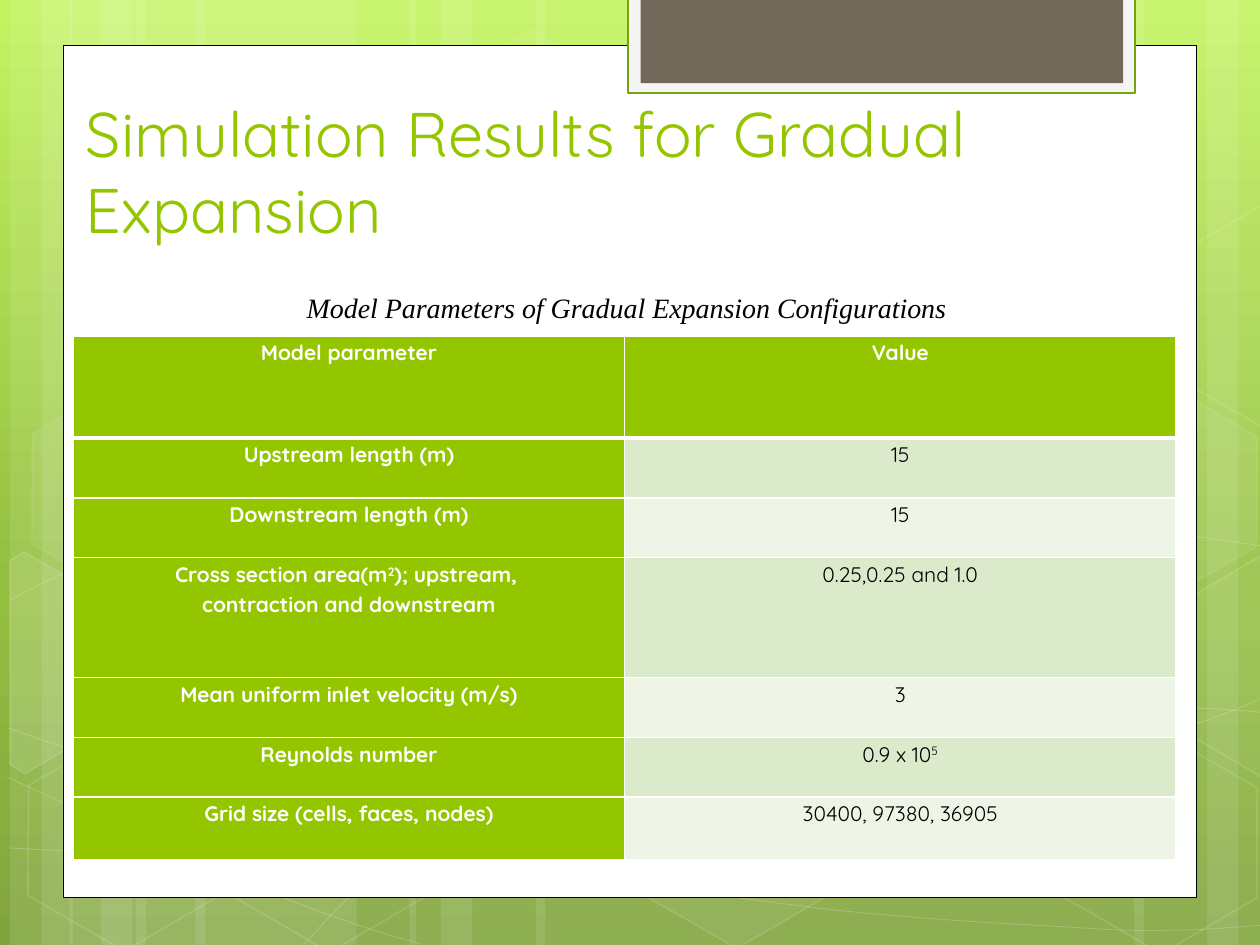
from copy import deepcopy
from lxml import etree
from pptx import Presentation
from pptx.dml.color import RGBColor
from pptx.enum.shapes import MSO_SHAPE
from pptx.enum.text import MSO_ANCHOR, PP_ALIGN
from pptx.oxml.ns import qn
from pptx.util import Inches, Pt

RECT, HEXAGON = MSO_SHAPE.RECTANGLE, MSO_SHAPE.HEXAGON
CENTER, BOTTOM, TOP = PP_ALIGN.CENTER, MSO_ANCHOR.BOTTOM, MSO_ANCHOR.TOP
WHITE, BLACK, GREEN = "FFFFFF", "000000", "94C600"
rgb = RGBColor.from_string

prs = Presentation()
prs.slide_width, prs.slide_height = Inches(10), Inches(7.5)
s = prs.slides.add_slide(prs.slide_layouts[6])
U = prs.slide_width / 100  # square grid of 100 columns by 75 rows


def paint(sp, fill=None, line=None, width=1, fill_alpha=100, line_alpha=100):
    """Set fill and outline; alphas are percentages of opacity."""
    sp.shadow.inherit = False
    for part, color in ((sp.fill, fill), (sp.line.fill, line)):
        if color:
            part.solid()
            part.fore_color.rgb = rgb(color)
        else:
            part.background()
    if line:
        sp.line.width = Pt(width)
    for path, alpha in (("a:solidFill", fill_alpha), ("a:ln/a:solidFill", line_alpha)):
        for clr in sp._element.spPr.xpath(f"{path}/a:srgbClr"):
            if alpha < 100:
                etree.SubElement(clr, qn("a:alpha")).set("val", str(alpha * 1000))


def add_outline(points, closed):
    """Draw a freeform through points given in grid units."""
    emu = [(x * U, y * U) for x, y in points]
    builder = s.shapes.build_freeform(*emu[0])
    builder.add_line_segments(emu[1:], close=closed)
    return builder.convert_to_shape()


# Background gradient
fill = s.background.fill
fill.gradient()
fill.gradient_angle = 270
stop_list = s.element.find(".//" + qn("a:gsLst"))
stop_list.append(deepcopy(stop_list[0]))
for stop, (pos, color) in zip(fill.gradient_stops,
                              ((0, "C3F35F"), (0.62, "93BF3F"), (1, "81A53E"))):
    stop.position = pos
    stop.color.rgb = rgb(color)

# Translucent vertical bands: each set is wide, narrow and medium
bands = []
for left, wide in ((0.8, 17.5), (5.5, 17.5), (32.5, 30.8)):
    bands += [(left + 10, wide), (left, 5), (left + 2.5, 8.3)]
mirror = 100.8
bands += [(mirror - 10 - 17.5, 17.5), (mirror - 5, 5), (mirror - 2.5 - 8.3, 8.3)]
for x, w in bands:
    sp = s.shapes.add_shape(RECT, int(x * U), 0, int(w * U), prs.slide_height)
    paint(sp, WHITE, fill_alpha=10)

# Thin curves: a start, then two control points and an end per Bezier segment
curves = [
    [(0.7, 67.3), (6.1, 67.6), (11.5, 67.9), (19, 67.8), (26.5, 67.7), (35.8, 67.5),
     (45.8, 66.5), (55.8, 65.5), (70, 63.6), (79.2, 61.7), (88.3, 59.8), (97.7, 56.8),
     (100.7, 55.1)],
    [(0.7, 47.7), (3.6, 46.1), (6.5, 44.6), (12.1, 43.1), (17.8, 41.6), (25.9, 39.4),
     (34.7, 38.7), (43.6, 38), (54.4, 37.9), (65.4, 38.7), (76.4, 39.5), (94.7, 42.6),
     (100.7, 43.4)],
    [(0.6, 61.7), (12.7, 67.2), (24.7, 72.7), (33.4, 74.9)],
    [(0.7, 57.8), (3.8, 58.9), (7, 60), (12.8, 61.6), (18.6, 63.1), (27.3, 65.6),
     (35.7, 67.3), (44, 69), (54.5, 70.8), (62.8, 71.8), (71.1, 72.9), (80, 73.3),
     (85.3, 73.6), (90.5, 74), (91.9, 73.8), (94.5, 73.8), (97.1, 73.7), (98.9, 73.5),
     (100.7, 73.4)],
    [(24.2, 74.9), (26, 72.9), (27.8, 70.9), (30.2, 69.1), (32.6, 67.3), (36, 65.3),
     (38.8, 63.9), (41.6, 62.5), (43.3, 61.9), (47, 60.9), (50.6, 59.9), (57.3, 58.5),
     (60.8, 57.8), (64.4, 57.1), (64.9, 57.1), (68, 56.9), (71.1, 56.6), (76, 56.3),
     (79.4, 56.2), (82.9, 56.1), (88.6, 56.2), (88.6, 56.2), (88.6, 56.2), (95.3, 56.2),
     (95.3, 56.2), (97.1, 56.3), (98.8, 56.4), (99.7, 56.5), (100.6, 56.6), (100.3, 56.5),
     (100.6, 56.6)],
]
for nodes in curves:
    sp = add_outline(nodes, False)
    paint(sp, line=WHITE, width=0.5, line_alpha=20)
    path = sp._element.find(".//" + qn("a:path"))
    segments = path.findall(qn("a:lnTo"))
    for i in range(0, len(segments), 3):
        bezier = etree.SubElement(path, qn("a:cubicBezTo"))
        for segment in segments[i:i + 3]:
            bezier.append(segment[0])
            path.remove(segment)

# Hexagons: left, top, fill opacity (0 is hollow), line opacity
for x, y, fill_alpha, line_alpha in (
        (33.4, 3.6, 4, 8), (49.7, 58.9, 6, 12), (1.1, 59.1, 0, 12), (1.4, 31.2, 7, 8),
        (17.4, 59.2, 0, 12), (75.3, 45.3, 10, 12), (83.4, 59.3, 0, 12), (83.4, 31.4, 7, 8)):
    sp = s.shapes.add_shape(HEXAGON, int(x * U), int(y * U), int(17.5 * U), int(15.2 * U))
    sp.adjustments[0] = 0.285
    sp.rotation = 30
    paint(sp, WHITE if fill_alpha else None, WHITE, 1, fill_alpha, line_alpha)

# Hexagons cut by the slide's edges
for points, fill_alpha in (
        ([(0.8, 44.5), (1.9, 43.8), (9.6, 48.2), (9.5, 57), (2, 61.4), (0.8, 60.7)], 10),
        ([(92.6, 48.5), (100.1, 44.1), (100.9, 44.6), (100.9, 61.3), (100.2, 61.7),
          (92.6, 57.3)], 4),
        ([(92.6, 20.7), (100.1, 16.3), (101, 16.8), (100.9, 33.5), (100.2, 33.9),
          (92.6, 29.5)], 0)):
    paint(add_outline(points, True), WHITE if fill_alpha else None, WHITE, 1, fill_alpha, 12)

# White page and the tab at its top
for x, y, w, h, color, line, width in (
        (5, 3.6, 90, 67.65, WHITE, BLACK, 0.5),
        (49.85, -0.2, 40.25, 7.6, "F5F5F5", "74A510", 1.25),
        (50.85, -0.2, 38.3, 6.8, "71685A", None, 0)):
    sp = s.shapes.add_shape(RECT, int(x * U), int(y * U), int(w * U), int(h * U))
    paint(sp, color, line, width)

# Title and table caption
for text, x, y, w, h, anchor, wrap, size, font, color, italic in (
        ("Simulation Results for Gradual Expansion", 5.84, 7.5, 76.8, 12.5,
         BOTTOM, True, 36, "Quicksand", GREEN, False),
        ("Model Parameters of Gradual Expansion Configurations", 23.35, 22.55, 53.5, 6.7,
         TOP, False, 16, "Times New Roman", BLACK, True)):
    tf = s.shapes.add_textbox(int(x * U), int(y * U), int(w * U), int(h * U)).text_frame
    tf.word_wrap, tf.vertical_anchor = wrap, anchor
    p = tf.paragraphs[0]
    p.text = text
    p.font.size, p.font.name, p.font.italic = Pt(size), font, italic
    p.font.color.rgb = rgb(color)

# Parameter table: ^ encloses a superscript, a line break starts a paragraph
rows = [
    ("Model parameter", "Value", 8.1),
    ("Upstream length (m)", "15", 4.75),
    ("Downstream length (m)", "15", 4.75),
    ("Cross section area(m^2^); upstream, \ncontraction and downstream",
     "0.25,0.25 and 1.0", 9.5),
    ("Mean uniform inlet velocity (m/s)", "3", 4.75),
    ("Reynolds number", "0.9 x 10^5^", 4.75),
    ("Grid size (cells, faces, nodes)", "30400, 97380, 36905", 5),
]
table = s.shapes.add_table(len(rows), 2, int(5.83 * U), int(26.67 * U),
                           int(87.5 * U), int(41.6 * U)).table
for column in table.columns:
    column.width = int(43.75 * U)
for i, (*texts, height) in enumerate(rows):
    table.rows[i].height = int(height * U)
    for j, text in enumerate(texts):
        cell = table.cell(i, j)
        heading = i == 0 or j == 0
        cell.margin_left = cell.margin_right = int(0.7 * U)
        cell.margin_top = cell.margin_bottom = 0
        tcPr = cell._tc.get_or_add_tcPr()
        for side in "LRTB":
            thick = (i, side) in ((0, "B"), (1, "T"))
            ln = etree.SubElement(tcPr, qn(f"a:ln{side}"), w=str(Pt(3 if thick else 1)))
            solid = etree.SubElement(ln, qn("a:solidFill"))
            etree.SubElement(solid, qn("a:srgbClr"), val=WHITE)
        cell.fill.solid()
        cell.fill.fore_color.rgb = rgb(GREEN if heading else ("EEF5E7", "DCEACC")[i % 2])
        tf = cell.text_frame
        for n, line in enumerate(text.split("\n")):
            p = tf.add_paragraph() if n else tf.paragraphs[0]
            p.alignment, p.line_spacing = CENTER, 1.15
            p.font.size, p.font.name, p.font.bold = Pt(12), "Quicksand", heading
            p.font.color.rgb = rgb(WHITE if heading else BLACK)
            for k, piece in enumerate(line.split("^")):
                if piece:
                    r = p.add_run()
                    r.text = piece
                    if k % 2:
                        r._r.get_or_add_rPr().set("baseline", "30000")

prs.save("out.pptx")
